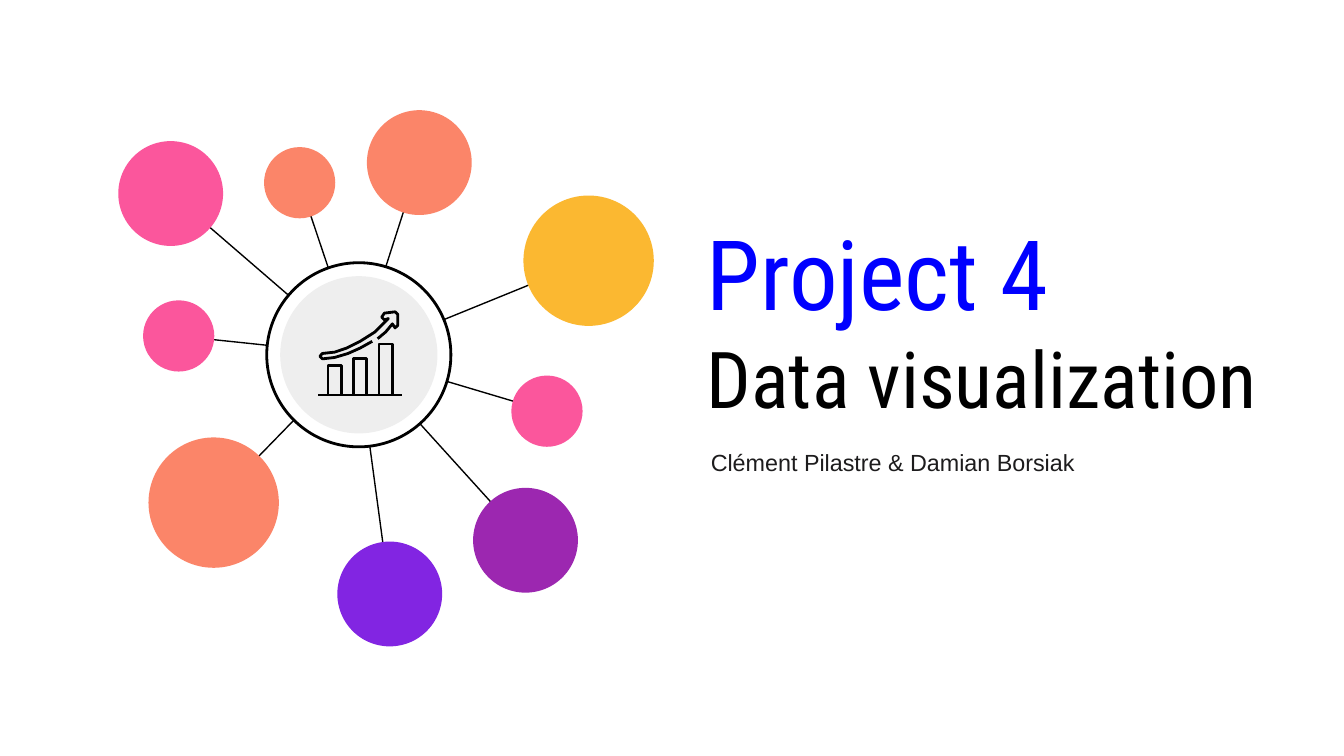
from dataclasses import dataclass

from lxml import etree
from pptx import Presentation
from pptx.dml.color import RGBColor
from pptx.enum.shapes import MSO_CONNECTOR, MSO_SHAPE
from pptx.enum.text import MSO_ANCHOR
from pptx.oxml.ns import qn
from pptx.util import Inches, Pt

OVAL = MSO_SHAPE.OVAL
BAR = MSO_SHAPE.RECTANGLE
STRAIGHT = MSO_CONNECTOR.STRAIGHT
MIDDLE = MSO_ANCHOR.MIDDLE


@dataclass(frozen=True)
class Theme:
    """Hold the colours, fonts and sizes of the slide."""
    black: str = "000000"
    white: str = "FFFFFF"
    grey: str = "EEEEEE"
    ink: str = "1D1C1D"
    blue: str = "0000FF"
    gold: str = "FBB831"
    coral: str = "FB8569"
    pink: str = "FB569C"
    plum: str = "9C27B0"
    violet: str = "8225E2"
    head: str = "Roboto Condensed"
    body: str = "Arial"
    title: float = 52
    topic: float = 42
    names: float = 12.5
    thin: float = 0.75
    thick: float = 1.5


THEME = Theme()
HUB = (2.67, 2.64)
TIP = (2.66, 2.64)
LARGE, MEDIUM, SMALL = 0.97, 0.78, 0.53
BUBBLES = [
    (4.38, 1.94, LARGE, THEME.gold),
    (1.59, 3.74, LARGE, THEME.coral),
    (3.12, 1.21, MEDIUM, THEME.coral),
    (1.27, 1.44, MEDIUM, THEME.pink),
    (3.91, 4.02, MEDIUM, THEME.plum),
    (2.9, 4.42, MEDIUM, THEME.violet),
    (1.33, 2.5, SMALL, THEME.pink),
    (4.07, 3.06, SMALL, THEME.pink),
    (2.23, 1.36, SMALL, THEME.coral),
]
BASE = 2.94
BAR_TOPS = [2.72, 2.67, 2.56]
ARROW = [
    (2.77, 2.54), (2.68, 2.59), (2.59, 2.63), (2.49, 2.66), (2.4, 2.67),
    (2.38, 2.65), (2.4, 2.63), (2.49, 2.62), (2.58, 2.59), (2.68, 2.54),
    (2.79, 2.47), (2.89, 2.37), (2.86, 2.38), (2.84, 2.36), (2.86, 2.33),
    (2.94, 2.32), (2.96, 2.34), (2.96, 2.42), (2.94, 2.44), (2.92, 2.41),
    (2.87, 2.47), (2.81, 2.52),
]


def paint(shape, fill=None, line=None, width=THEME.thick):
    """Set the fill and outline of a shape."""
    shape.shadow.inherit = False
    if fill:
        shape.fill.solid()
        shape.fill.fore_color.rgb = RGBColor.from_string(fill)
    else:
        shape.fill.background()
    if line:
        shape.line.color.rgb = RGBColor.from_string(line)
        shape.line.width = Pt(width)
    else:
        shape.line.fill.background()


def add_disc(slide, x, y, size, fill, line=None):
    """Draw a circle around a centre point."""
    disc = slide.shapes.add_shape(
        OVAL, Inches(x - size / 2), Inches(y - size / 2),
        Inches(size), Inches(size))
    paint(disc, fill, line)


def add_line(slide, start, end, width):
    """Draw a straight black line."""
    line = slide.shapes.add_connector(
        STRAIGHT, *(Inches(value) for value in (*start, *end)))
    line.line.color.rgb = RGBColor.from_string(THEME.black)
    line.line.width = Pt(width)
    etree.SubElement(line._element.spPr, qn("a:effectLst"))


def add_text(slide, box, lines):
    """Place a text box with one paragraph per formatted line."""
    frame = slide.shapes.add_textbox(*map(Inches, box)).text_frame
    frame.word_wrap = True
    frame.vertical_anchor = MIDDLE
    frame.margin_left = frame.margin_right = Inches(0.1)
    frame.margin_top = frame.margin_bottom = Inches(0.1)
    for index, (text, style) in enumerate(lines):
        para = frame.add_paragraph() if index else frame.paragraphs[0]
        write(para, text, **style)


def write(para, text, size, color, font):
    """Write one formatted run into a paragraph."""
    run = para.add_run()
    run.text = text
    run.font.size = Pt(size)
    run.font.name = font
    run.font.color.rgb = RGBColor.from_string(color)


def add_icon(slide):
    """Draw the bar chart icon with its rising arrow."""
    for index, top in enumerate(BAR_TOPS):
        bar = slide.shapes.add_shape(
            BAR, Inches(2.44 + 0.19 * index), Inches(top),
            Inches(0.1), Inches(BASE - top))
        paint(bar, line=THEME.black)
    add_line(slide, (2.37, BASE), (2.99, BASE), THEME.thick)
    points = [(Inches(x), Inches(y)) for x, y in ARROW]
    pen = slide.shapes.build_freeform(*points[0])
    pen.add_line_segments(points[1:], close=False)
    paint(pen.convert_to_shape(), line=THEME.black)


def main():
    """Build and save the title slide."""
    deck = Presentation()
    deck.slide_width = Inches(10)
    deck.slide_height = deck.slide_width * 9 // 16
    slide = deck.slides.add_slide(deck.slide_layouts[6])
    add_text(slide, (5.16, 1.19, 4.31, 2.37), [
        ("Project 4", dict(
            size=THEME.title, color=THEME.blue, font=THEME.head)),
        ("Data visualization", dict(
            size=THEME.topic, color=THEME.black, font=THEME.head)),
    ])
    add_text(slide, (5.19, 3.21, 4.31, 0.46), [
        ("Clément Pilastre & Damian Borsiak", dict(
            size=THEME.names, color=THEME.ink, font=THEME.body)),
    ])
    for x, y, size, fill in BUBBLES:
        add_line(slide, (x, y), TIP, THEME.thin)
        add_disc(slide, x, y, size, fill)
    add_disc(slide, *HUB, 1.37, THEME.white, THEME.black)
    add_disc(slide, *HUB, 1.17, THEME.grey)
    add_icon(slide)
    deck.save("out.pptx")


if __name__ == "__main__":
    main()
